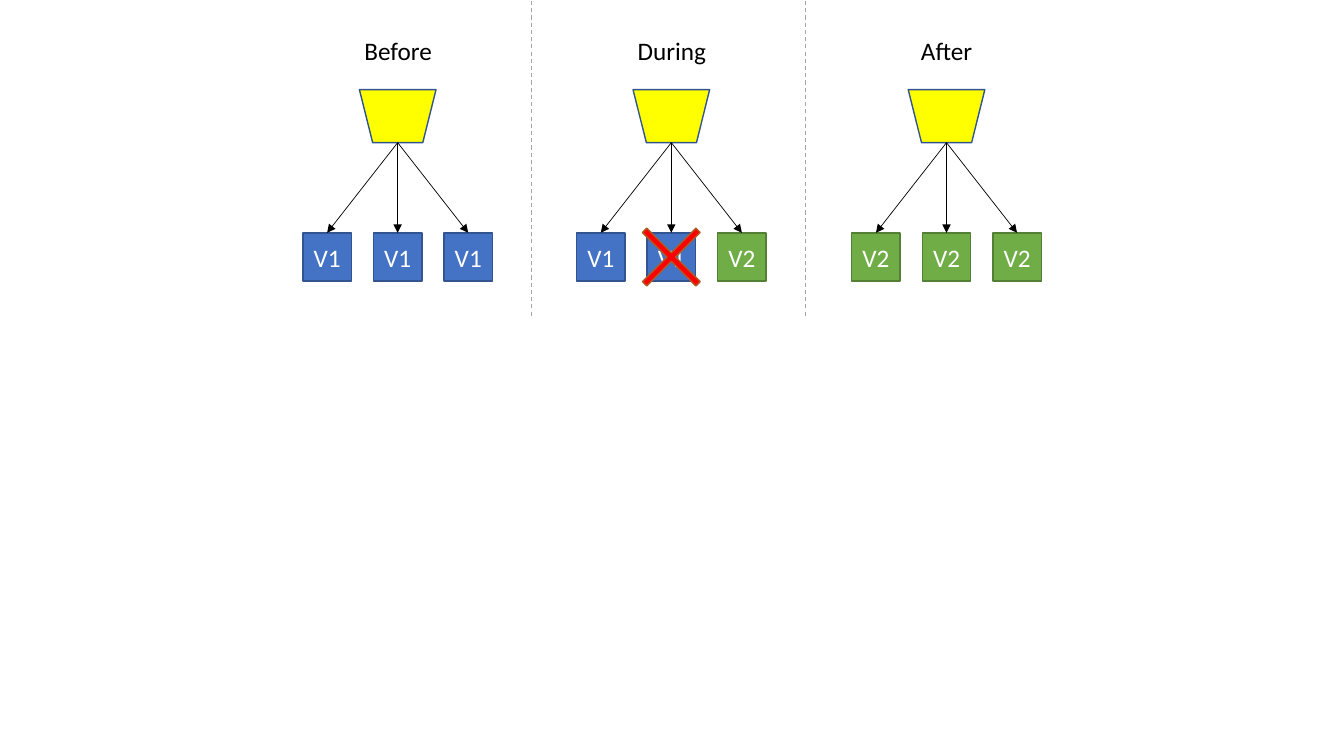
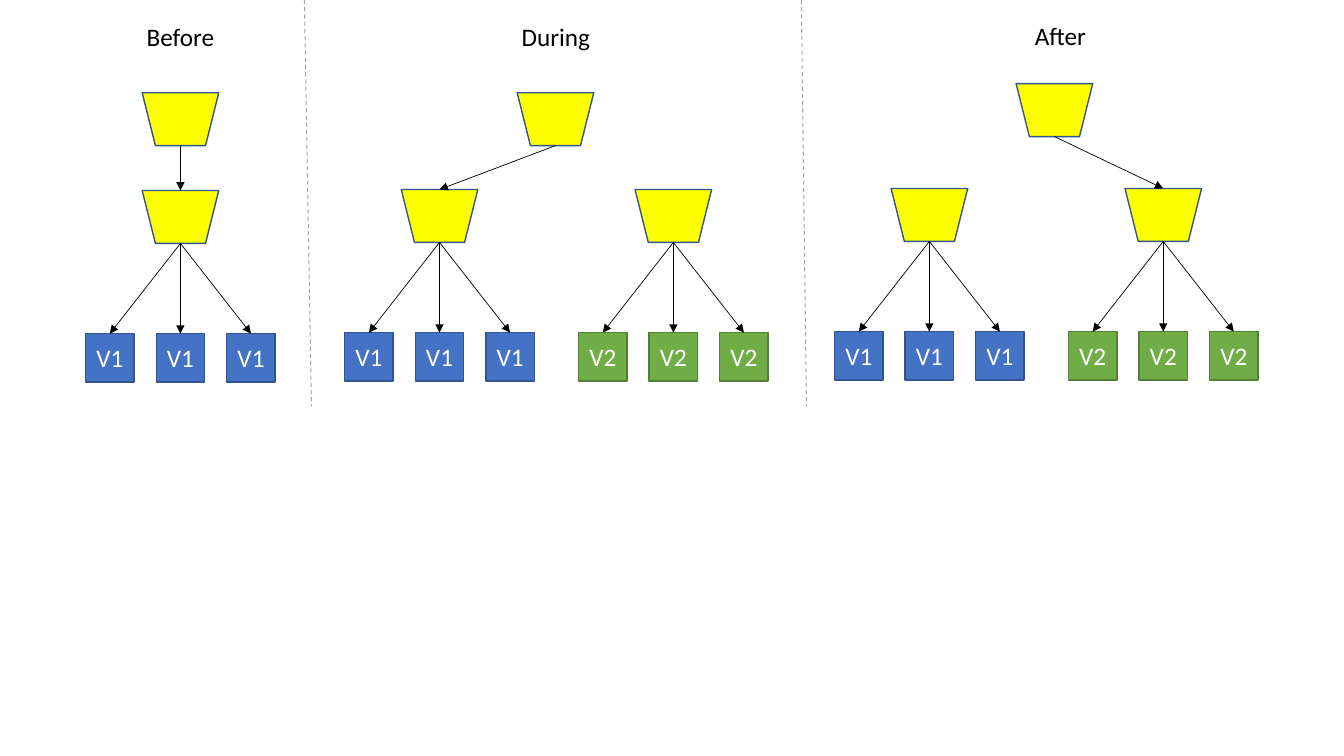
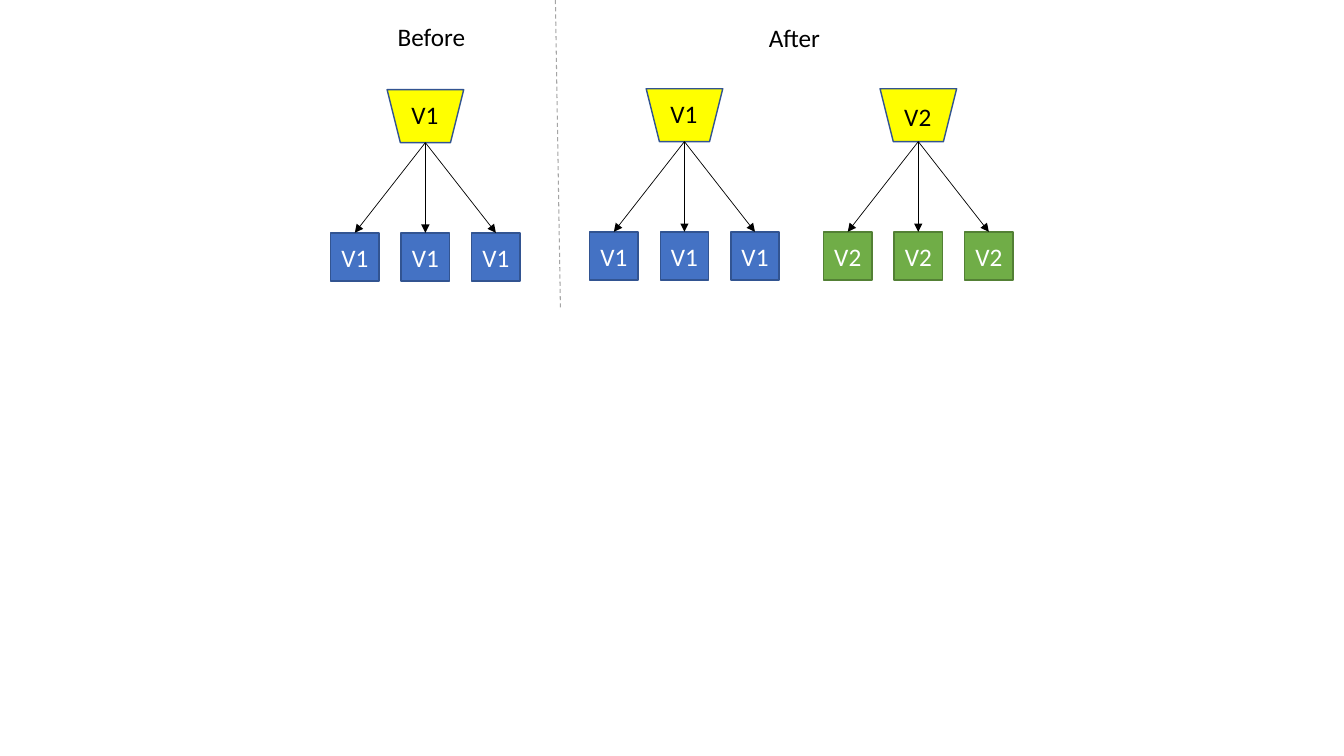
from dataclasses import dataclass

from lxml.etree import SubElement
from pptx import Presentation
from pptx.dml.color import RGBColor
from pptx.enum.dml import MSO_LINE_DASH_STYLE as Dash
from pptx.enum.shapes import MSO_CONNECTOR as Connector, MSO_SHAPE as Preset
from pptx.enum.text import MSO_ANCHOR as Anchor, MSO_AUTO_SIZE as AutoSize, PP_ALIGN as Align
from pptx.oxml.ns import qn
from pptx.shapes.autoshape import Shape
from pptx.slide import Slide
from pptx.text.text import TextFrame
from pptx.util import Inches, Length, Pt


# Theme
@dataclass(frozen=True)
class Theme:
    font: str = "Calibri"
    text_size: float = 18
    text: str = "000000"
    server_text: str = "FFFFFF"
    balancer: str = "FFFF00"
    balancer_line: str = "325491"
    cross: str = "FF0000"
    cross_line: str = "AF5C24"
    arrow: str = "000000"
    divider: str = "A5A5A5"
    outline_width: float = 1
    arrow_width: float = 0.5
    divider_width: float = 0.75


THEME = Theme()
VERSION_COLORS = {"V1": ("4472C4", "325491"), "V2": ("70AD47", "538035")}

# Grid: square cells, ten to the inch; every length below counts cells
CELLS_PER_INCH = 10
SLIDE_COLUMNS, SLIDE_ROWS = 133.33, 75
BALANCER_WIDTH, BALANCER_HEIGHT = 7.6, 5.25
SERVER_SIZE, SERVER_PITCH = 4.8, 7
SERVER_DROP = 14.2  # from the top of a balancer to its servers
CROSS_SIZE = 7.5
TEXT_HEIGHT = 4


# Parts of the diagrams
@dataclass(frozen=True)
class Label:
    text: str
    center: float
    top: float
    width: float


@dataclass(frozen=True)
class Cluster:
    center: float
    top: float
    versions: tuple[str, ...]
    crossed: int | None = None


@dataclass(frozen=True)
class Router:
    center: float
    top: float
    target: int  # index of the cluster that gets the traffic


@dataclass(frozen=True)
class Divider:
    start: tuple[float, float]
    end: tuple[float, float]


@dataclass(frozen=True)
class Diagram:
    labels: tuple[Label, ...]
    clusters: tuple[Cluster, ...]
    dividers: tuple[Divider, ...]
    routers: tuple[Router, ...] = ()


def before(center: float, top: float) -> Label:
    return Label("Before", center, top, 8.8)


def during(center: float, top: float) -> Label:
    return Label("During", center, top, 8.9)


def after(center: float, top: float) -> Label:
    return Label("After", center, top, 7.2)


def version(text: str, center: float, top: float) -> Label:
    return Label(text, center, top, 4.7)


OLD, NEW = ("V1",) * 3, ("V2",) * 3

DIAGRAMS = (
    # Rolling replacement, one server at a time
    Diagram(
        labels=(before(39.5, 3), during(66.65, 3), after(93.9, 3)),
        clusters=(
            Cluster(39.45, 8.9, OLD),
            Cluster(66.6, 8.9, ("V1", "V1", "V2"), crossed=1),
            Cluster(93.9, 8.9, NEW),
        ),
        dividers=(Divider((52.7, 0.1), (52.7, 31.4)), Divider((79.9, 0.1), (79.9, 31.4))),
    ),
    # A router switches between two clusters
    Diagram(
        labels=(before(17.9, 1.6), during(55.15, 1.6), after(105.2, 1.5)),
        clusters=(
            Cluster(17.9, 18.9, OLD),
            Cluster(43.6, 18.8, OLD),
            Cluster(66.8, 18.8, NEW),
            Cluster(92.2, 18.7, OLD),
            Cluster(115.4, 18.7, NEW),
        ),
        dividers=(Divider((30.2, 0), (30.9, 40.3)), Divider((79.5, 0), (80, 40.3))),
        routers=(Router(17.9, 9.2, 0), Router(55.1, 9.2, 1), Router(104.6, 8.3, 4)),
    ),
    # Both versions stay available side by side
    Diagram(
        labels=(
            before(42.8, 1.6),
            after(78.8, 1.7),
            version("V1", 42.15, 9.4),
            version("V1", 67.85, 9.3),
            version("V2", 91.05, 9.6),
        ),
        clusters=(
            Cluster(42.2, 8.9, OLD),
            Cluster(67.9, 8.8, OLD),
            Cluster(91.1, 8.8, NEW),
        ),
        dividers=(Divider((55.1, 0), (55.6, 30.7)),),
    ),
)


# Drawing functions
def cells(count: float) -> Length:
    return Inches(count / CELLS_PER_INCH)


def write(frame: TextFrame, text: str, color: str) -> None:
    paragraph = frame.paragraphs[0]
    paragraph.alignment = Align.CENTER
    run = paragraph.add_run()
    run.text = text
    run.font.name = THEME.font
    run.font.size = Pt(THEME.text_size)
    run.font.color.rgb = RGBColor.from_string(color)


def draw_shape(slide: Slide, preset: Preset, center: float, top: float,
               width: float, height: float, fill: str, line: str) -> Shape:
    shape = slide.shapes.add_shape(
        preset, cells(center - width / 2), cells(top), cells(width), cells(height))
    shape.shadow.inherit = False
    shape.fill.solid()
    shape.fill.fore_color.rgb = RGBColor.from_string(fill)
    shape.line.color.rgb = RGBColor.from_string(line)
    shape.line.width = Pt(THEME.outline_width)
    return shape


def draw_line(slide: Slide, start: tuple[float, float], end: tuple[float, float],
              color: str, width: float, arrow: bool) -> None:
    connector = slide.shapes.add_connector(
        Connector.STRAIGHT, *(cells(value) for value in (*start, *end)))
    connector.line.color.rgb = RGBColor.from_string(color)
    connector.line.width = Pt(width)
    if arrow:
        SubElement(connector.line._get_or_add_ln(), qn("a:tailEnd"), type="triangle")
    else:
        connector.line.dash_style = Dash.DASH
    SubElement(connector._element.spPr, qn("a:effectLst"))


def draw_arrow(slide: Slide, start: tuple[float, float], end: tuple[float, float]) -> None:
    draw_line(slide, start, end, THEME.arrow, THEME.arrow_width, arrow=True)


def draw_label(slide: Slide, label: Label) -> None:
    box = slide.shapes.add_textbox(
        cells(label.center - label.width / 2), cells(label.top),
        cells(label.width), cells(TEXT_HEIGHT))
    box.text_frame.word_wrap = False
    box.text_frame.auto_size = AutoSize.SHAPE_TO_FIT_TEXT
    write(box.text_frame, label.text, THEME.text)


def draw_balancer(slide: Slide, center: float, top: float) -> None:
    balancer = draw_shape(slide, Preset.TRAPEZOID, center, top, BALANCER_WIDTH,
                          BALANCER_HEIGHT, THEME.balancer, THEME.balancer_line)
    balancer.rotation = 180


def draw_server(slide: Slide, center: float, top: float, name: str) -> None:
    server = draw_shape(slide, Preset.RECTANGLE, center, top, SERVER_SIZE,
                        SERVER_SIZE, *VERSION_COLORS[name])
    frame = server.text_frame
    frame.margin_left = frame.margin_right = 0
    frame.vertical_anchor = Anchor.MIDDLE
    write(frame, name, THEME.server_text)


def draw_cross(slide: Slide, center: float, middle: float) -> None:
    cross = draw_shape(slide, Preset.CROSS, center, middle - CROSS_SIZE / 2,
                       CROSS_SIZE, CROSS_SIZE, THEME.cross, THEME.cross_line)
    cross.adjustments[0] = 0.46
    cross.rotation = 315


def draw_cluster(slide: Slide, cluster: Cluster) -> None:
    server_top = cluster.top + SERVER_DROP
    draw_balancer(slide, cluster.center, cluster.top)
    middle_index = (len(cluster.versions) - 1) / 2
    for index, name in enumerate(cluster.versions):
        center = cluster.center + (index - middle_index) * SERVER_PITCH
        draw_server(slide, center, server_top, name)
        draw_arrow(slide, (cluster.center, cluster.top + BALANCER_HEIGHT), (center, server_top))
        if index == cluster.crossed:
            draw_cross(slide, center, server_top + SERVER_SIZE / 2)


def draw_diagram(slide: Slide, diagram: Diagram) -> None:
    for cluster in diagram.clusters:
        draw_cluster(slide, cluster)
    for router in diagram.routers:
        target = diagram.clusters[router.target]
        draw_balancer(slide, router.center, router.top)
        draw_arrow(slide, (router.center, router.top + BALANCER_HEIGHT),
                   (target.center, target.top))
    for divider in diagram.dividers:
        draw_line(slide, divider.start, divider.end, THEME.divider,
                  THEME.divider_width, arrow=False)
    for label in diagram.labels:
        draw_label(slide, label)


# Build the slides on the blank layout, as none has a title
presentation = Presentation()
presentation.slide_width = cells(SLIDE_COLUMNS)
presentation.slide_height = cells(SLIDE_ROWS)
blank_layout = presentation.slide_layouts.get_by_name("Blank")
for diagram in DIAGRAMS:
    draw_diagram(presentation.slides.add_slide(blank_layout), diagram)
presentation.save("out.pptx")
